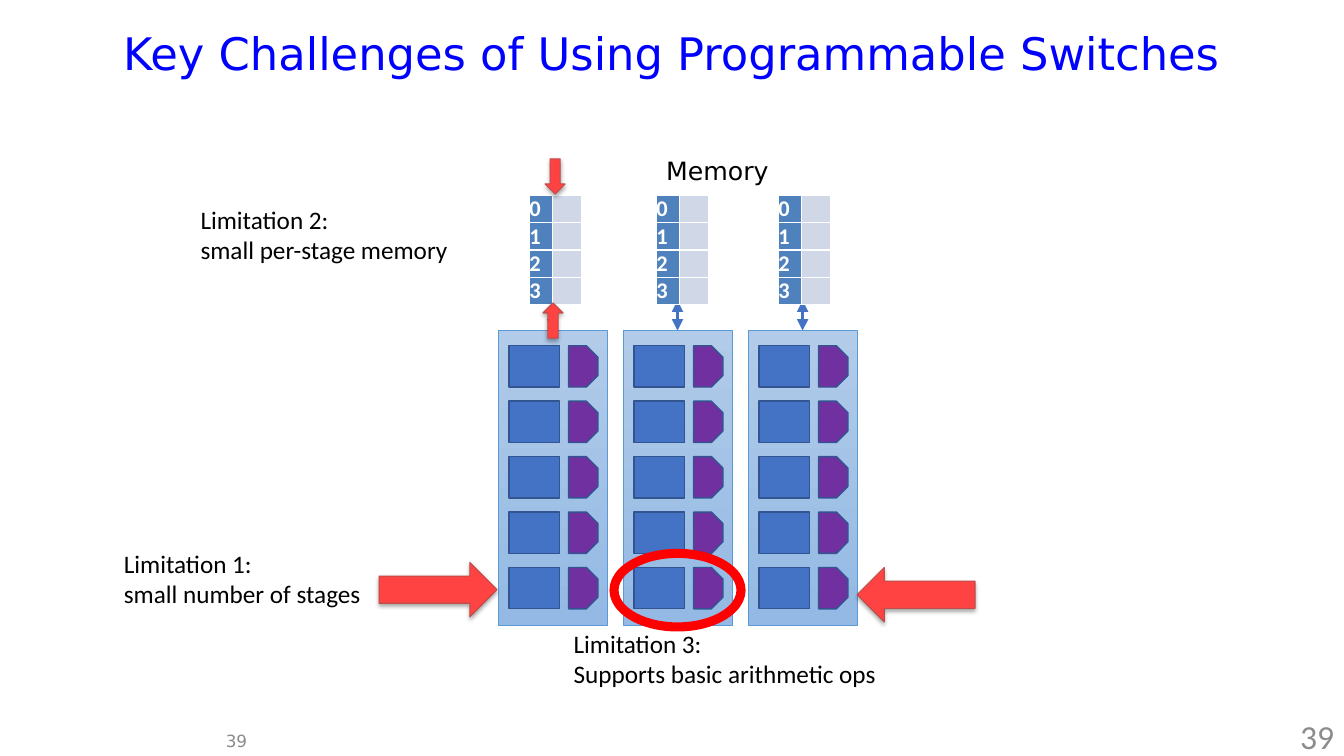
from lxml import etree
from pptx import Presentation
from pptx.dml.color import RGBColor
from pptx.enum.shapes import MSO_CONNECTOR, MSO_SHAPE
from pptx.enum.text import MSO_ANCHOR, MSO_AUTO_SIZE, PP_ALIGN
from pptx.oxml.ns import qn
from pptx.util import Inches, Pt

RECT, SNIPPED = MSO_SHAPE.RECTANGLE, MSO_SHAPE.SNIP_2_SAME_RECTANGLE
ARROW, OVAL = MSO_SHAPE.RIGHT_ARROW, MSO_SHAPE.OVAL
STRAIGHT = MSO_CONNECTOR.STRAIGHT
LEFT, CENTER, RIGHT = PP_ALIGN.LEFT, PP_ALIGN.CENTER, PP_ALIGN.RIGHT
TOP, MIDDLE = MSO_ANCHOR.TOP, MSO_ANCHOR.MIDDLE
NO_FIT = MSO_AUTO_SIZE.NONE

BLACK = RGBColor(0x00, 0x00, 0x00)
WHITE = RGBColor(0xFF, 0xFF, 0xFF)
GRAY = RGBColor(0x8C, 0x8C, 0x8C)
TITLE_BLUE = RGBColor(0x00, 0x00, 0xFF)
BLUE = RGBColor(0x44, 0x72, 0xC4)
DARK_BLUE = RGBColor(0x32, 0x54, 0x91)
PURPLE = RGBColor(0x70, 0x30, 0xA0)
STAGE_TOP = RGBColor(0xB1, 0xCB, 0xE9)
STAGE_BOTTOM = RGBColor(0x93, 0xB9, 0xE4)
STAGE_LINE = RGBColor(0x5B, 0x9B, 0xD5)
INDEX_FILL = RGBColor(0x4F, 0x81, 0xBD)
VALUE_FILL = RGBColor(0xD0, 0xD8, 0xE8)
ARROW_FILL = RGBColor(0xFF, 0x43, 0x43)
ARROW_LINE = RGBColor(0xBF, 0x4C, 0x48)
RED = RGBColor(0xFF, 0x00, 0x00)

CALIBRI, DEJAVU = "Calibri", "DejaVu Sans"

STAGE_X, STAGE_Y, STAGE_PITCH = 4.94, 3.28, 1.24
UNITS, UNIT_PITCH = 5, 0.55
MEMORY_X = (5.25, 6.51, 7.72)
MEMORY_ROWS, ROW_HEIGHT = 4, 0.27
MEMORY_COLUMNS = (0.23, 0.29)


def write(tf, text, size=18, font=CALIBRI, color=BLACK, bold=False,
          align=LEFT, anchor=TOP):
    tf.word_wrap = True
    tf.vertical_anchor = anchor
    for i, line in enumerate(text.split("\n")):
        p = tf.paragraphs[0] if i == 0 else tf.add_paragraph()
        p.alignment = align
        r = p.add_run()
        r.text = line
        r.font.size = Pt(size)
        r.font.name = font
        r.font.bold = bold
        r.font.color.rgb = color


def add_text(s, text, x, y, w, h, **style):
    sp = s.shapes.add_textbox(Inches(x), Inches(y), Inches(w), Inches(h))
    write(sp.text_frame, text, **style)


def add_shape(s, kind, x, y, w, h, line, width, fill=None, rotation=0):
    sp = s.shapes.add_shape(kind, Inches(x), Inches(y), Inches(w), Inches(h))
    sp.shadow.inherit = False
    sp.rotation = rotation
    sp.line.color.rgb = line
    sp.line.width = Pt(width)
    if fill is None:
        sp.fill.background()
    else:
        sp.fill.solid()
        sp.fill.fore_color.rgb = fill
    return sp


def add_block_arrow(s, x, y, w, h, rotation=0):
    sp = add_shape(s, ARROW, x, y, w, h, ARROW_LINE, 0.75, ARROW_FILL, rotation)
    effects = sp._element.spPr.find(qn("a:effectLst"))
    shadow = etree.SubElement(effects, qn("a:outerShdw"), blurRad="40000",
                              dist="23000", dir="5400000", rotWithShape="0")
    color = etree.SubElement(shadow, qn("a:srgbClr"), val=str(BLACK))
    etree.SubElement(color, qn("a:alpha"), val="35000")


def add_memory_link(s, x):
    link = s.shapes.add_connector(STRAIGHT, Inches(x), Inches(2.98),
                                  Inches(x), Inches(STAGE_Y))
    link.line.color.rgb = BLUE
    link.line.width = Pt(2.75)
    ln = link.line._get_or_add_ln()
    for end in ("a:headEnd", "a:tailEnd"):
        etree.SubElement(ln, qn(end), type="triangle")
    etree.SubElement(link._element.spPr, qn("a:effectLst"))


def add_stage(s, x):
    sp = add_shape(s, RECT, x, STAGE_Y, 1.08, 2.92, STAGE_LINE, 0.5)
    sp.fill.gradient()
    sp.fill.gradient_angle = 270
    for stop, position, color in zip(sp.fill.gradient_stops, (0, 1),
                                     (STAGE_TOP, STAGE_BOTTOM)):
        stop.position = position
        stop.color.rgb = color
    for i in range(UNITS):
        y = STAGE_Y + 0.15 + i * UNIT_PITCH
        add_shape(s, RECT, x + 0.11, y, 0.5, 0.41, DARK_BLUE, 1, BLUE)
        alu = add_shape(s, SNIPPED, x + 0.64, y + 0.06, 0.41, 0.29,
                        DARK_BLUE, 1, PURPLE, 90)
        alu.adjustments[0] = 0.394
        alu.adjustments[1] = 0


def format_cell(cell, text, fill):
    cell.margin_left = cell.margin_right = 0
    cell.margin_top = cell.margin_bottom = 0
    if text:
        write(cell.text_frame, text, size=16, color=WHITE, bold=True)
    else:
        # Keeps an empty cell from stretching its row
        etree.SubElement(cell.text_frame.paragraphs[0]._p,
                         qn("a:endParaRPr"), sz="1600")
    tcPr = cell._tc.get_or_add_tcPr()
    for side in ("a:lnL", "a:lnR", "a:lnT", "a:lnB"):
        ln = etree.SubElement(tcPr, qn(side), w=str(Pt(1)))
        solid = etree.SubElement(ln, qn("a:solidFill"))
        etree.SubElement(solid, qn("a:srgbClr"), val=str(WHITE))
    cell.fill.solid()
    cell.fill.fore_color.rgb = fill


def add_memory(s, x):
    frame = s.shapes.add_table(
        MEMORY_ROWS, len(MEMORY_COLUMNS), Inches(x), Inches(1.94),
        Inches(sum(MEMORY_COLUMNS)), Inches(MEMORY_ROWS * ROW_HEIGHT))
    table = frame.table
    table.first_row = table.horz_banding = False
    for column, width in zip(table.columns, MEMORY_COLUMNS):
        column.width = Inches(width)
    for i, row in enumerate(table.rows):
        row.height = Inches(ROW_HEIGHT)
        format_cell(row.cells[0], str(i), INDEX_FILL)
        format_cell(row.cells[1], "", VALUE_FILL)


def main():
    prs = Presentation()
    prs.slide_width, prs.slide_height = Inches(13.33), Inches(7.5)
    s = prs.slides.add_slide(prs.slide_layouts[5])

    # Title and slide numbers
    title = s.shapes.title
    title.left, title.top = Inches(0), Inches(0)
    title.width, title.height = Inches(13.33), Inches(1.04)
    title.text_frame.auto_size = NO_FIT
    write(title.text_frame, "Key Challenges of Using Programmable Switches",
          size=32, font=DEJAVU, color=TITLE_BLUE, align=CENTER, anchor=MIDDLE)
    add_text(s, "39", 10.22, 7.1, 3.11, 0.4, size=24, color=GRAY,
             align=RIGHT, anchor=MIDDLE)
    add_text(s, "39", 1.89, 7.2, 0.66, 0.4, size=12, font=DEJAVU,
             color=GRAY, align=RIGHT)

    # Pipeline stages with their memory
    for i, memory_x in enumerate(MEMORY_X):
        stage_x = STAGE_X + i * STAGE_PITCH
        add_memory_link(s, stage_x + 0.54)
        add_stage(s, stage_x)
        add_memory(s, memory_x)
    add_text(s, "Memory", 5.34, 1.49, 3.55, 0.42, font=DEJAVU, align=CENTER)

    # Limitation 1: stages
    add_block_arrow(s, 3.76, 5.58, 1.17, 0.54)
    add_block_arrow(s, 8.5, 5.63, 1.17, 0.54, 180)
    add_text(s, "Limitation 1:\nsmall number of stages", 1.13, 5.39, 2.7, 0.71)

    # Limitation 2: memory
    add_block_arrow(s, 5.33, 1.65, 0.35, 0.2, 90)
    add_block_arrow(s, 5.31, 3.08, 0.35, 0.2, 270)
    add_text(s, "Limitation 2:\nsmall per-stage memory", 1.89, 1.98, 3.12, 0.71)

    # Limitation 3: arithmetic
    add_text(s, "Limitation 3:\nSupports basic arithmetic ops",
             5.59, 6.18, 4.08, 0.71)
    add_shape(s, OVAL, 6.09, 5.49, 1.26, 0.73, RED, 6.5)

    prs.save("out.pptx")


if __name__ == "__main__":
    main()
